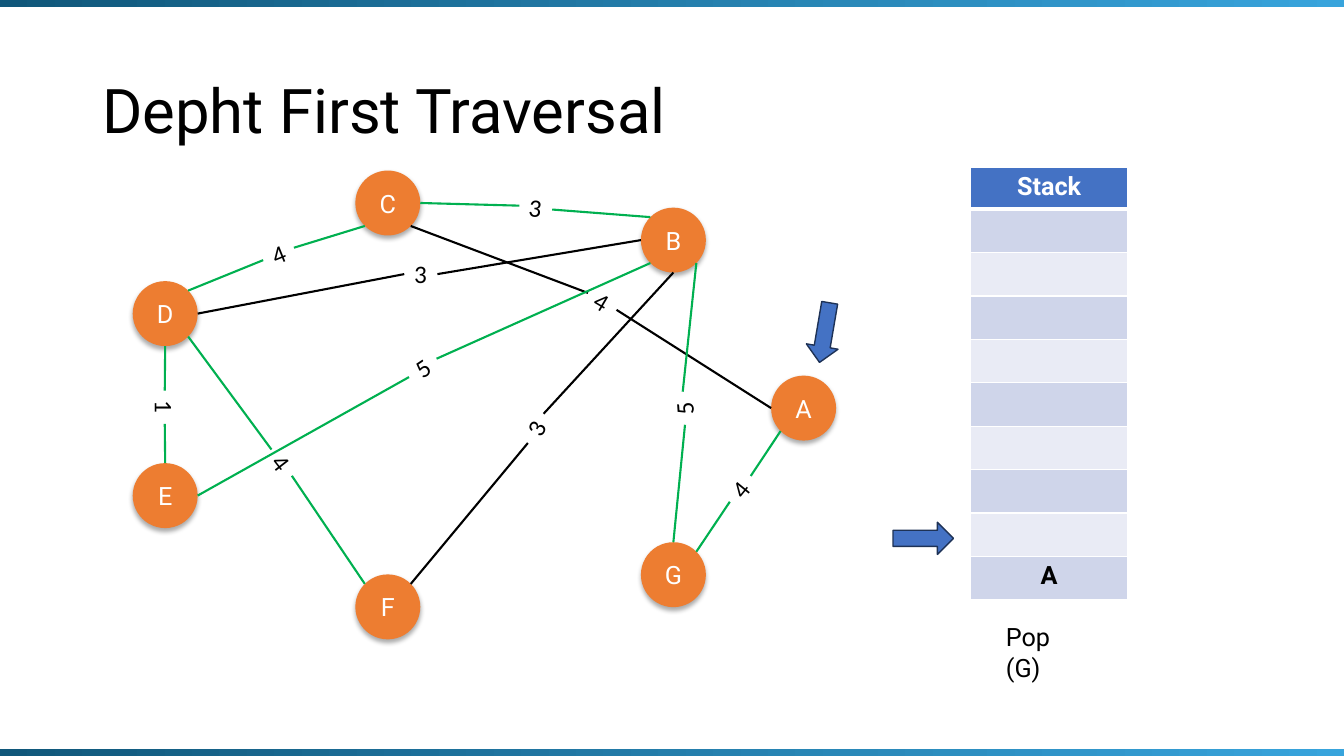
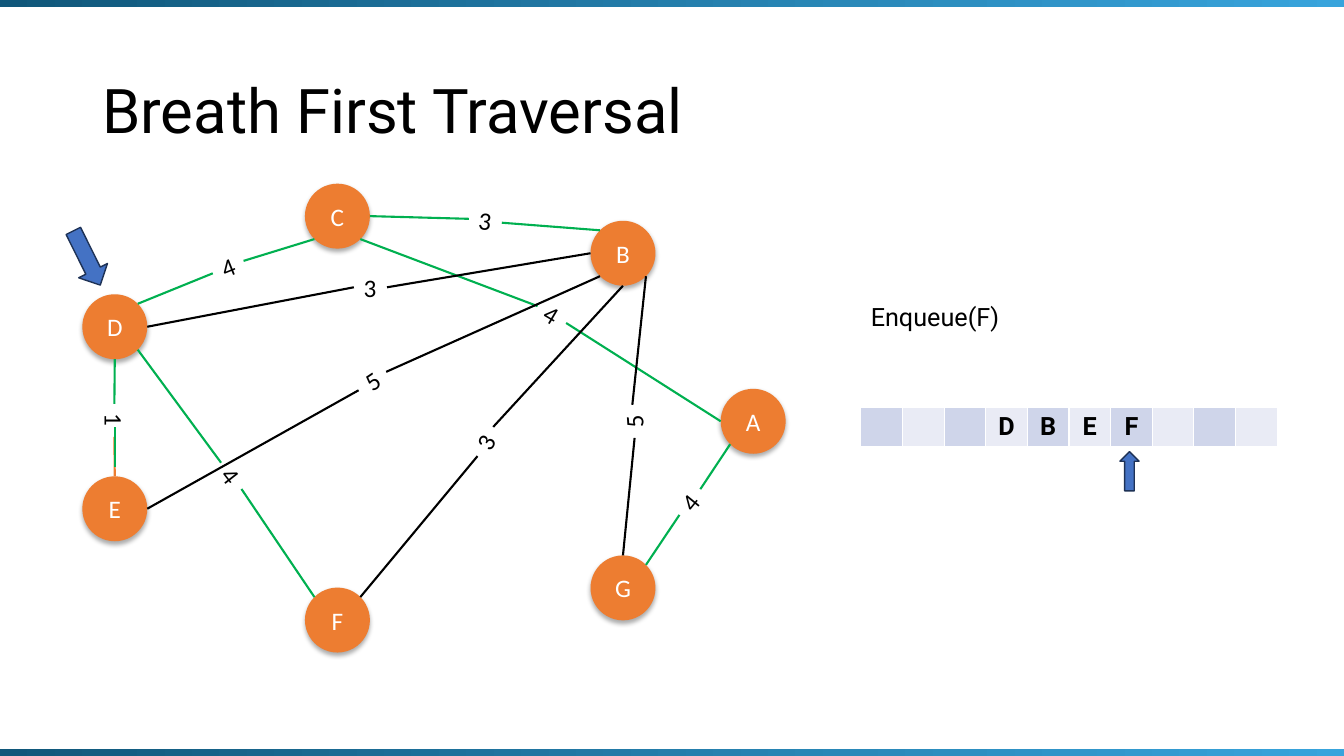
from math import cos, radians, sin

from lxml import etree
from pptx import Presentation
from pptx import util as u
from pptx.dml.color import RGBColor
from pptx.enum import shapes, text
from pptx.oxml.ns import qn

Pt = u.Pt

# Shared style
BLACK = RGBColor(0x00, 0x00, 0x00)
WHITE = RGBColor(0xFF, 0xFF, 0xFF)
BAND_DARK = RGBColor(0x10, 0x57, 0x7A)
BAND_LIGHT = RGBColor(0x38, 0xA4, 0xDC)
ORANGE = RGBColor(0xED, 0x7D, 0x31)
GREEN = RGBColor(0x00, 0xB0, 0x50)
BLUE = RGBColor(0x44, 0x72, 0xC4)
NAVY = RGBColor(0x1E, 0x32, 0x56)
CELL_DARK = RGBColor(0xCF, 0xD5, 0xEA)
CELL_LIGHT = RGBColor(0xE9, 0xEB, 0xF5)
HEADING_FONT, LABEL_FONT = "Roboto", "Calibri"
WIDTH, HEIGHT, BAND_HEIGHT = 960, 540, 5.5
NODE_SIZE, LABEL_WIDTH, LABEL_HEIGHT = 46.4, 23.7, 29

# Graph: node centres, then edges as
# (start node, side angle, end node, side angle, weight, label centre, label rotation)
NODES = {"C": (277, 145), "B": (481, 171.5), "A": (574, 291.5), "G": (481, 410.5),
         "F": (277, 433.5), "E": (118, 354), "D": (118, 224)}
EDGES = [
    ("C", 45, "A", 180, "4", (430.2, 215.3), 30.6),
    ("D", 315, "C", 135, "4", (199, 181.4), 338),
    ("G", 315, "A", 135, "4", (528.8, 349.2), 309.1),
    ("C", 0, "B", 225, "3", (382.7, 148.3), 6.7),
    ("D", 0, "B", 180, "3", (300.6, 195.8), 0),
    ("D", 45, "F", 225, "4", (201.2, 330.5), 52.2),
    ("F", 315, "B", 90, "3", (382.7, 306), 298.3),
    ("E", 0, "B", 135, "5", (302, 262.8), 326.3),
    ("D", 90, "E", 270, "1", (117.7, 290.9), 90),
    ("G", 270, "B", 45, "5", (488.5, 291.6), 266.1),
]


def write(frame, string, font=HEADING_FONT, size=18, color=BLACK, bold=False,
          align=text.PP_ALIGN.LEFT, spacing=None):
    paragraph = frame.paragraphs[0]
    paragraph.alignment = align
    paragraph.line_spacing = spacing
    run = paragraph.add_run()
    run.text = string
    run.font.name, run.font.size, run.font.bold = font, Pt(size), bold
    run.font.color.rgb = color


def polar(center, radius, angle):
    return (center[0] + radius * cos(radians(angle)),
            center[1] + radius * sin(radians(angle)))


def set_borders(cell, **widths):
    properties = cell._tc.get_or_add_tcPr()
    for index, side in enumerate("LRTB"):
        line = etree.Element(qn(f"a:ln{side}"), w=str(Pt(widths.get(side, 1))))
        fill = etree.SubElement(line, qn("a:solidFill"))
        etree.SubElement(fill, qn("a:srgbClr"), val=str(WHITE))
        properties.insert(index, line)


class Deck:
    def __init__(self):
        self.presentation = Presentation()
        self.presentation.slide_width = Pt(WIDTH)
        self.presentation.slide_height = Pt(HEIGHT)
        self.slide = None

    def new_slide(self, title):
        self.slide = self.presentation.slides.add_slide(self.presentation.slide_layouts[6])
        frame = self.slide.shapes.add_textbox(Pt(66), Pt(28.75), Pt(828), Pt(104.4)).text_frame
        frame.word_wrap = True
        frame.vertical_anchor = text.MSO_ANCHOR.MIDDLE
        write(frame, title, size=44, spacing=0.9)
        for top in (-0.5, HEIGHT - 5):
            self.band(top)

    def shape(self, kind, left, top, width, height):
        shape = self.slide.shapes.add_shape(kind, Pt(left), Pt(top), Pt(width), Pt(height))
        shape.shadow.inherit = False
        return shape

    def band(self, top):
        band = self.shape(shapes.MSO_SHAPE.RECTANGLE, 0, top, WIDTH, BAND_HEIGHT)
        band.line.fill.background()
        band.fill.gradient()
        band.fill.gradient_angle = 0
        for stop, color in zip(band.fill.gradient_stops, (BAND_DARK, BAND_LIGHT)):
            stop.color.rgb = color

    def text_box(self, string, left, top, width, height=LABEL_HEIGHT, wrap=True,
                 rotation=0, font=HEADING_FONT):
        box = self.slide.shapes.add_textbox(Pt(left), Pt(top), Pt(width), Pt(height))
        box.rotation = rotation
        box.text_frame.word_wrap = wrap
        box.text_frame.auto_size = text.MSO_AUTO_SIZE.SHAPE_TO_FIT_TEXT
        write(box.text_frame, string, font=font)
        return box

    def arrow(self, center, rotation=0, width=43.2, height=23):
        arrow = self.shape(shapes.MSO_SHAPE.RIGHT_ARROW, center[0] - width / 2,
                           center[1] - height / 2, width, height)
        arrow.rotation = rotation
        arrow.fill.solid()
        arrow.fill.fore_color.rgb = BLUE
        arrow.line.color.rgb = NAVY
        arrow.line.width = Pt(1)

    def line(self, start, end, color):
        line = self.slide.shapes.add_connector(
            shapes.MSO_CONNECTOR.STRAIGHT, *(Pt(value) for value in (*start, *end)))
        line.line.color.rgb = color
        line.line.width = Pt(1.5)
        etree.SubElement(line._element.spPr, qn("a:effectLst"))
        return line

    def node(self, name, center, font):
        node = self.shape(shapes.MSO_SHAPE.FLOWCHART_CONNECTOR, center[0] - NODE_SIZE / 2,
                          center[1] - NODE_SIZE / 2, NODE_SIZE, NODE_SIZE)
        node.fill.solid()
        node.fill.fore_color.rgb = ORANGE
        node.line.fill.background()
        effects = node._element.spPr.find(qn("a:effectLst"))
        shadow = etree.SubElement(effects, qn("a:outerShdw"), blurRad=str(Pt(3.5)),
                                  dist=str(Pt(2.2)), dir="5400000", rotWithShape="0")
        shade = etree.SubElement(shadow, qn("a:srgbClr"), val=str(BLACK))
        etree.SubElement(shade, qn("a:alpha"), val="32000")
        node.text_frame.vertical_anchor = text.MSO_ANCHOR.MIDDLE
        write(node.text_frame, name, font=font, color=WHITE, align=text.PP_ALIGN.CENTER)

    def half_edge(self, node_end, label, label_end, side, color):
        line = self.line(node_end, label_end, color)
        line.end_connect(label, side)
        # The label is turned, so its side is not where the unturned one would be
        line.end_x, line.end_y = (Pt(value) for value in label_end)
        return line

    def graph(self, tree, font, shift=(0, 0)):
        """Draw the graph with tree edges green; return both halves of each edge."""
        def moved(point):
            return point[0] + shift[0], point[1] + shift[1]

        for name, center in NODES.items():
            self.node(name, moved(center), font)
        halves = {}
        for start, start_angle, end, end_angle, weight, center, rotation in EDGES:
            x, y = center = moved(center)
            label = self.text_box(weight, x - LABEL_WIDTH / 2, y - LABEL_HEIGHT / 2,
                                  LABEL_WIDTH, wrap=False, rotation=rotation, font=LABEL_FONT)
            color = GREEN if start + end in tree else BLACK
            halves[start + end] = [
                self.half_edge(polar(moved(NODES[name]), NODE_SIZE / 2, angle), label,
                               polar(center, LABEL_WIDTH / 2, rotation + turn), side, color)
                for name, angle, turn, side in ((start, start_angle, 180, 1),
                                                (end, end_angle, 0, 3))]
        return halves

    def table(self, rows, left, top, column_width, row_heights):
        table = self.slide.shapes.add_table(
            len(rows), len(rows[0]), Pt(left), Pt(top), Pt(column_width * len(rows[0])),
            Pt(sum(row_heights))).table
        table.first_row = table.horz_banding = False
        for column in table.columns:
            column.width = Pt(column_width)
        for row, height in zip(table.rows, row_heights):
            row.height = Pt(height)
        return table

    def cell(self, cell, string, fill, color=BLACK, **borders):
        cell.fill.solid()
        cell.fill.fore_color.rgb = fill
        set_borders(cell, **borders)
        if string:
            write(cell.text_frame, string, color=color, bold=True, align=text.PP_ALIGN.CENTER)

    def stack(self, entries, left, top):
        table = self.table([["Stack"]] + [[entry] for entry in entries], left, top, 112,
                           [30] + [31] * len(entries))
        self.cell(table.cell(0, 0), "Stack", BLUE, WHITE, B=3)
        for index, entry in enumerate(entries):
            self.cell(table.cell(index + 1, 0), entry, (CELL_DARK, CELL_LIGHT)[index % 2],
                      T=1 if index else 3)

    def queue(self, entries, left, top):
        table = self.table([entries], left, top, 29.75, [28.8])
        for index, entry in enumerate(entries):
            self.cell(table.cell(0, index), entry, (CELL_DARK, CELL_LIGHT)[index % 2], B=3)


def main():
    deck = Deck()

    # Depth-first slide: graph and stack
    deck.new_slide("Depht First Traversal")
    deck.stack([""] * 8 + ["A"], 693.4, 119.5)
    deck.graph({"DC", "CB", "DE", "DF", "EB", "GB", "GA"}, HEADING_FONT)
    deck.arrow((659.5, 384.5))
    deck.arrow((589, 237.6), 99.7)
    deck.text_box("Pop (G)", 711.4, 440.6, 60, 51)

    # Breadth-first slide: graph and queue
    deck.new_slide("Breath First Traversal")
    halves = deck.graph({"DC", "CB", "CA", "GA", "DE", "DF"}, LABEL_FONT, shift=(-36, 9.4))
    halves["DE"][1].line.color.rgb = ORANGE
    deck.line((82, 333.4), (82, 305.3), GREEN)
    deck.queue(["", "", "", "D", "B", "E", "F", "", "", ""], 614.9, 290.9)
    deck.arrow((806.8, 336.6), 270, 28, 13.7)
    deck.text_box("Enqueue(F)", 614.9, 211.7, 108.7)
    deck.arrow((62, 184.3), 63.6)

    deck.presentation.save("out.pptx")


if __name__ == "__main__":
    main()
